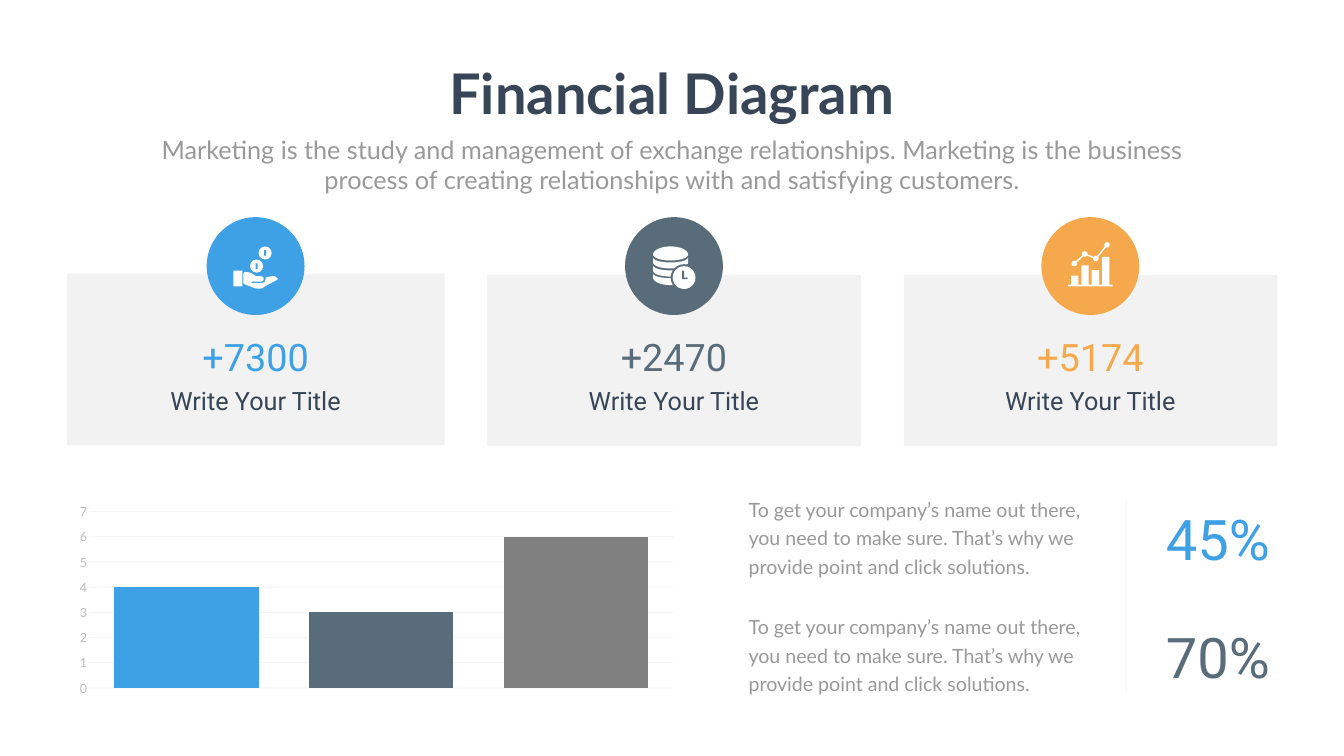
"""Build the Financial Diagram slide with three cards, a column chart and two percentages."""
from math import cos, pi, sin

from lxml.etree import SubElement
from pptx import Presentation
from pptx.chart.data import CategoryChartData
from pptx.dml.color import RGBColor
from pptx.enum.chart import XL_CHART_TYPE, XL_TICK_MARK
from pptx.enum.shapes import MSO_CONNECTOR, MSO_SHAPE
from pptx.enum.text import MSO_AUTO_SIZE, PP_ALIGN
from pptx.oxml.ns import qn
from pptx.util import Cm, Pt

COLORS = {"back": "FEFFFE", "white": "FFFFFF", "navy": "374556", "text": "999999",
          "label": "BDBDBD", "gray": "808080", "blue": "3EA0E5", "slate": "596C7A",
          "orange": "F6A94C"}
TITLE = "Financial Diagram"
INTRO = ("Marketing is the study and management of exchange relationships. Marketing is the "
         "business process of creating relationships with and satisfying customers.")
CARDS = [("+7300", "Write Your Title", "blue", 12.88, (3.38, 13.79, 19.02, 8.66)),
         ("+2470", "Write Your Title", "slate", 33.96, (24.56, 13.87, 18.82, 8.61)),
         ("+5174", "Write Your Title", "orange", 54.94, (45.54, 13.87, 18.82, 8.61))]
BODY = ("To get your company’s name out there, you need to make sure. "
        "That’s why we provide point and click solutions.")
STATS = [("45%", "blue", BODY, 24.71), ("70%", "slate", BODY, 30.63)]
COLUMNS = [("1", 4, "blue"), ("2", 3, "slate"), ("3", 6, "gray")]
MID = 13.41
DISC = 4.93

COINS = [(0.48, -0.66), (0.05, 0)]
HAND = [(-.61, .36), (-.56, .3), (-.41, .3), (-.2, .36), (-.03, .48), (.03, .51),
        (.28, .51), (.38, .56), (.41, .64), (.38, .74), (.28, .79), (-.18, .79),
        (-.23, .83), (-.18, .86), (.28, .86), (.46, .81), (.51, .64), (.51, .58),
        (.79, .51), (.97, .51), (1.09, .61), (1.12, .64), (1.09, .69), (.53, .99),
        (.33, 1.12), (.15, 1.14), (-.03, 1.12), (-.23, 1.04), (-.58, .91), (-.61, .86)]
LAYERS = [(-.58, -.41, -.58, .3), (-.43, .25, -.18, .3), (-.03, .25, .23, .3),
          (.38, .23, .58, .38)]
CLOCK = (0.51, 0.58)
HANDS = [(.41, .23), (.51, .23), (.51, .58), (.69, .58), (.69, .66), (.41, .66)]
BARS = [.48, -.03, .2, -.46]
DOTS = [(-.81, -.13), (-.28, -.61), (.28, -.38), (.84, -1.07)]

deck = Presentation()
deck.slide_width, deck.slide_height = Cm(67.72), Cm(38.1)
slide = deck.slides.add_slide(deck.slide_layouts[6])
shapes = slide.shapes


def rgb(name):
    return RGBColor.from_string(COLORS[name])


def fade(node):
    for color in node.iter(qn("a:srgbClr")):
        SubElement(color, qn("a:alpha"), val="10000")


def paint(shape, color):
    shape.shadow.inherit = False
    shape.fill.solid()
    shape.fill.fore_color.rgb = rgb(color)
    shape.line.fill.background()
    return shape


def block(box, color, kind=MSO_SHAPE.RECTANGLE):
    return paint(shapes.add_shape(kind, *map(Cm, box)), color)


def disc(x, y, size, color):
    return block((x - size / 2, y - size / 2, size, size), color, MSO_SHAPE.OVAL)


def outline(x, points, color):
    places = [(Cm(x + dx), Cm(MID + dy)) for dx, dy in points]
    pen = shapes.build_freeform(*places[0])
    pen.add_line_segments(places[1:], close=True)
    return paint(pen.convert_to_shape(), color)


def rule(start, end, color, width):
    line = shapes.add_connector(MSO_CONNECTOR.STRAIGHT, *map(Cm, start + end))
    line.line.color.rgb = rgb(color)
    line.line.width = Pt(width)
    SubElement(line._element.spPr, qn("a:effectLst"))
    return line


def write(words, box, size, font, color, align=PP_ALIGN.CENTER, bold=False, wrap=True, gap=None):
    frame = shapes.add_textbox(*map(Cm, box)).text_frame
    frame.word_wrap = wrap
    frame.auto_size = MSO_AUTO_SIZE.SHAPE_TO_FIT_TEXT
    para = frame.paragraphs[0]
    para.alignment = align
    if gap:
        para.line_spacing = Pt(gap)
    run = para.add_run()
    run.text = words
    run.font.size, run.font.name, run.font.bold = Pt(size), font, bold
    run.font.color.rgb = rgb(color)


def draw_coins(x, color):
    block((x - 1.12, MID + .23, .46, .79), "white")
    outline(x, HAND, "white")
    for dx, dy in COINS:
        disc(x + dx, MID + dy, .66, "white")
        block((x + dx - .05, MID + dy - .14, .1, .28), color, MSO_SHAPE.ROUNDED_RECTANGLE)


def draw_stack(x, color):
    turns = [pi * step / 24 for step in range(25)]
    for top, rise, base, dip in LAYERS:
        upper = [(-.17 - .88 * cos(t), top + rise * sin(t)) for t in turns]
        lower = [(-.17 + .88 * cos(t), base + dip * sin(t)) for t in turns]
        outline(x, upper + lower, "white")
    dx, dy = CLOCK
    disc(x + dx, MID + dy, 1.35, color)
    disc(x + dx, MID + dy, 1.15, "white")
    outline(x, HANDS, color)


def draw_graph(x, color):
    for spot, top in enumerate(BARS):
        block((x - .97 + .52 * spot, MID + top, .37, .98 - top), "white")
    block((x - 1.12, MID + .94, 2.24, .08), "white")
    knots = [(x + dx, MID + dy) for dx, dy in DOTS]
    for start, end in zip(knots, knots[1:]):
        rule(start, end, "white", 2)
    for knot in knots:
        disc(*knot, .28, "white")


def add_bars():
    data = CategoryChartData()
    data.categories = [name for name, _, _ in COLUMNS]
    data.add_series("Series 1", [value for _, value, _ in COLUMNS])
    chart = shapes.add_chart(XL_CHART_TYPE.COLUMN_STACKED,
                             *map(Cm, (3.4, 25.2, 31.14, 10.06)), data).chart
    chart.has_legend = chart.has_title = False
    chart.font.size, chart.font.name = Pt(18), "Lato"
    chart.font.color.rgb = rgb("text")
    plot = chart.plots[0]
    plot.gap_width, plot.overlap, plot.vary_by_categories = 35, 100, False
    for spot, (_, _, color) in enumerate(COLUMNS):
        fill = plot.series[0].points[spot].format.fill
        fill.solid()
        fill.fore_color.rgb = rgb(color)
    chart.category_axis.visible = False
    axis = chart.value_axis
    axis.minimum_scale, axis.maximum_scale, axis.major_unit = 0, 7, 1
    axis.major_tick_mark = axis.minor_tick_mark = XL_TICK_MARK.NONE
    axis.format.line.fill.background()
    font = axis.tick_labels.font
    font.size, font.name = Pt(18), "Lato"
    font.color.rgb = rgb("label")
    grid = axis.major_gridlines.format.line
    grid.color.rgb = rgb("gray")
    grid.width = Pt(1)
    fade(axis._element.find(qn("c:majorGridlines")))


slide.background.fill.solid()
slide.background.fill.fore_color.rgb = rgb("back")
write(TITLE, (22.12, 2.84, 23.47, 3.68), 80, "Lato", "navy", bold=True, wrap=False)
write(INTRO, (7.42, 6.63, 52.88, 3.33), 36, "Lato", "text")
for (value, label, color, x, box), icon in zip(CARDS, (draw_coins, draw_stack, draw_graph)):
    fade(block(box, "gray")._element.spPr)
    disc(x, MID, DISC, color)
    icon(x, color)
    write(value, (x - 4.13, 16.71, 8.26, 2.57), 54, "Roboto", color)
    write(label, (x - 7.27, 19.28, 14.54, 1.8), 36, "Roboto", "navy")
add_bars()
for value, color, words, top in STATS:
    write(words, (37.47, top, 18.14, 4.5), 28, "Lato", "text", PP_ALIGN.LEFT, gap=40.8)
    write(value, (58.5, top + .6, 6.32, 3.68), 80, "Roboto", color, PP_ALIGN.LEFT)
fade(rule((56.74, 25.2), (56.74, 34.85), "gray", 1)._element.spPr)
deck.save("out.pptx")
